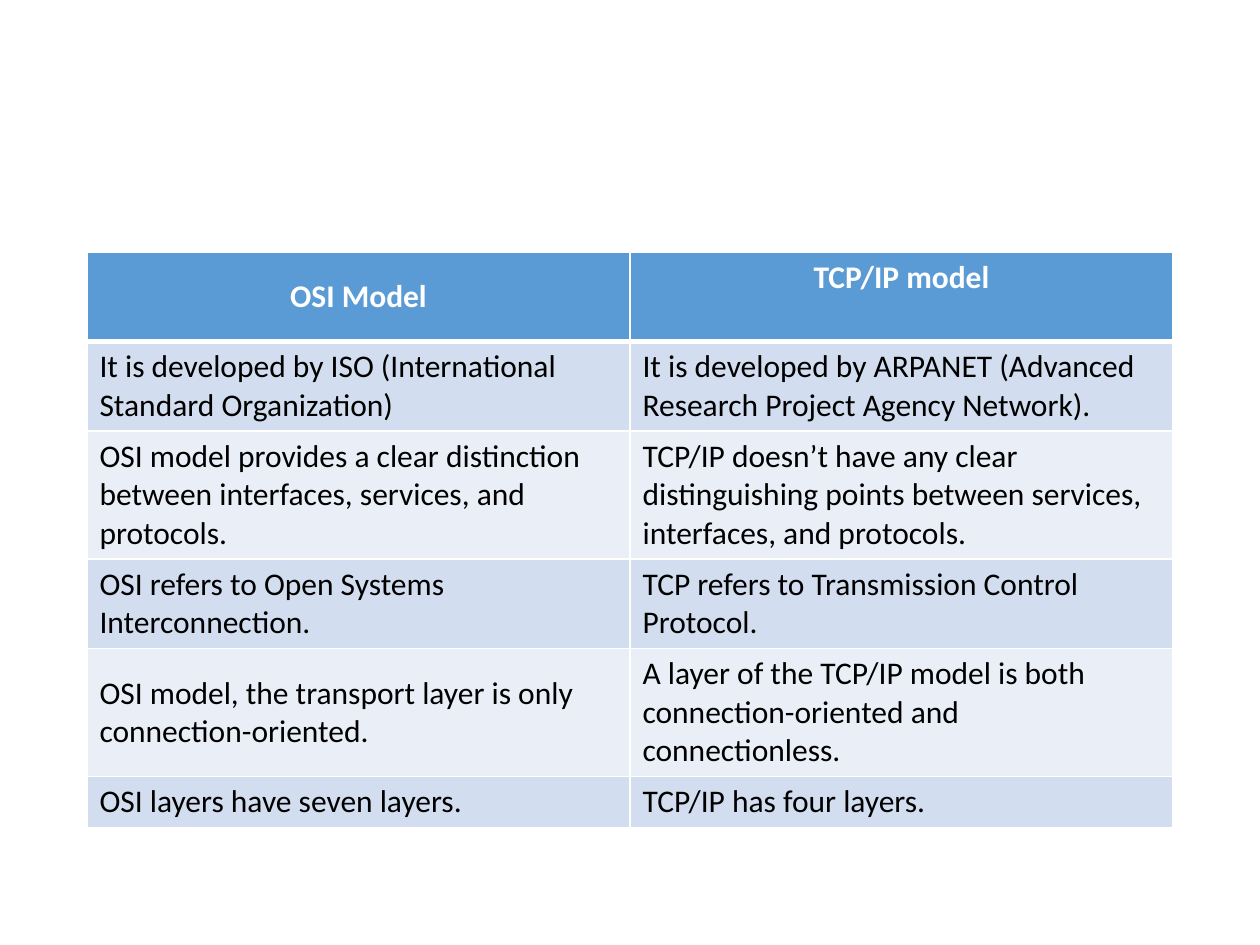
from lxml import etree
from pptx import Presentation
from pptx.dml.color import RGBColor
from pptx.enum import text
from pptx.oxml import ns
from pptx.util import Inches, Pt

COLORS = {
    "header": "5B9BD5",
    "odd": "D2DEEF",
    "even": "EAEFF7",
    "border": "FFFFFF",
    "header_text": "FFFFFF",
    "body_text": "000000",
}
FONT, SIZE = "Calibri", 18
LEFT, TOP, COLUMN_WIDTH = 0.69, 2, 4.31

# Each cell is a list of paragraphs.
ROWS = [
    (["OSI Model"], ["TCP/IP model"]),
    (["It is developed by ISO (International Standard Organization)"],
     ["It is developed by ARPANET (Advanced Research Project Agency Network)."]),
    (["OSI model provides a clear distinction between interfaces, services, and protocols."],
     ["TCP/IP doesn’t have any clear distinguishing points between services, "
      "interfaces, and protocols."]),
    (["OSI refers to Open Systems Interconnection."],
     ["TCP refers to Transmission Control", "Protocol."]),
    (["OSI model, the transport layer is only connection-oriented."],
     ["A layer of the TCP/IP model is both connection-oriented and connectionless."]),
    (["OSI layers have seven layers."], ["TCP/IP has four layers."]),
]
LINES_PER_ROW = [2, 2, 3, 2, 3, 1]
LINE_HEIGHT, CELL_PADDING = 0.305, 0.1


def set_borders(cell, widths):
    """Draw the cell's edges; widths maps L, R, T and B to points."""
    properties = cell._tc.get_or_add_tcPr()
    for index, side in enumerate("LRTB"):
        line = etree.Element(ns.qn(f"a:ln{side}"), w=str(Pt(widths[side])))
        fill = etree.SubElement(line, ns.qn("a:solidFill"))
        etree.SubElement(fill, ns.qn("a:srgbClr"), val=COLORS["border"])
        properties.insert(index, line)


def fill_cell(cell, paragraphs, row):
    is_header = row == 0
    shade = "header" if is_header else ("odd" if row % 2 else "even")
    cell.fill.solid()
    cell.fill.fore_color.rgb = RGBColor.from_string(COLORS[shade])
    set_borders(cell, {"L": 1, "R": 1, "T": 3 if row == 1 else 1, "B": 3 if is_header else 1})
    cell.vertical_anchor = text.MSO_ANCHOR.MIDDLE
    frame = cell.text_frame
    for index, words in enumerate(paragraphs):
        para = frame.add_paragraph() if index else frame.paragraphs[0]
        para.alignment = text.PP_ALIGN.CENTER if is_header else text.PP_ALIGN.LEFT
        span = para.add_run()
        span.text = words
        span.font.name, span.font.size, span.font.bold = FONT, Pt(SIZE), is_header
        color = COLORS["header_text" if is_header else "body_text"]
        span.font.color.rgb = RGBColor.from_string(color)


def main():
    deck = Presentation()
    deck.slide_width, deck.slide_height = Inches(10), Inches(7.5)
    slide = deck.slides.add_slide(deck.slide_layouts[6])

    heights = [lines * LINE_HEIGHT + CELL_PADDING for lines in LINES_PER_ROW]
    table = slide.shapes.add_table(
        len(ROWS), 2, Inches(LEFT), Inches(TOP),
        Inches(2 * COLUMN_WIDTH), Inches(sum(heights))).table
    for column in table.columns:
        column.width = Inches(COLUMN_WIDTH)
    for row, (cells, height) in enumerate(zip(ROWS, heights)):
        table.rows[row].height = Inches(height)
        for column, paragraphs in enumerate(cells):
            fill_cell(table.cell(row, column), paragraphs, row)
    table.cell(0, 1).vertical_anchor = text.MSO_ANCHOR.TOP

    deck.save("out.pptx")


if __name__ == "__main__":
    main()
